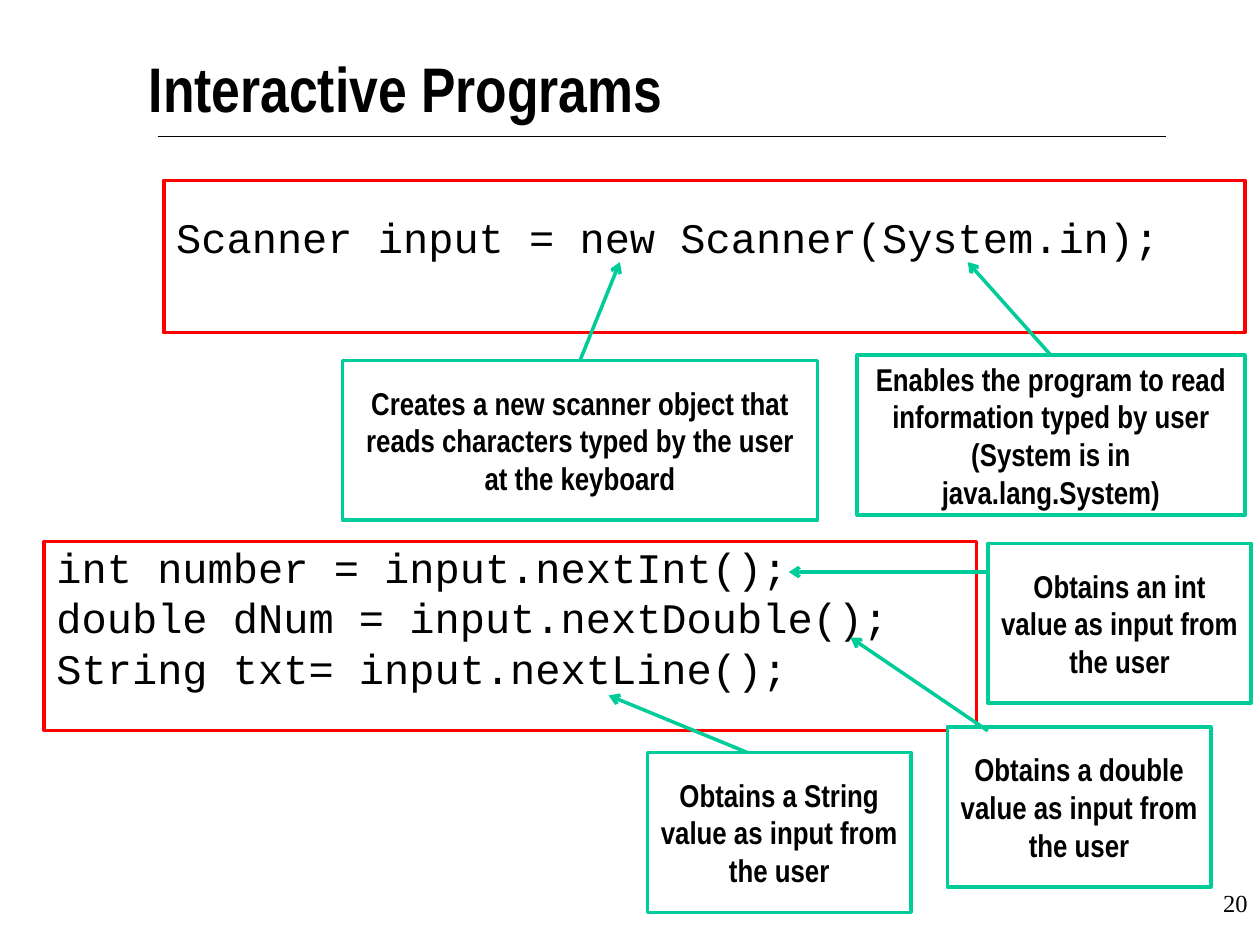
from lxml.etree import SubElement
from pptx import Presentation
from pptx.dml.color import RGBColor
from pptx.enum.shapes import MSO_CONNECTOR, MSO_SHAPE
from pptx.enum.text import MSO_ANCHOR, PP_ALIGN
from pptx.oxml.ns import qn
from pptx.util import Pt

COLORS = {"text": "000000", "fill": "FFFFFF", "code": "FF0000", "note": "00CC99"}
TOP = 0


def color(name):
    return RGBColor.from_string(COLORS[name])


class SlideBuilder:
    narrow, mono, serif = "Arial Narrow", "Courier New", "Times New Roman"
    border = 2

    def __init__(self, slide):
        self.slide = slide

    def set_text(self, sp, text, font, size, bold=False, align=PP_ALIGN.LEFT,
                 anchor=MSO_ANCHOR.MIDDLE, spacing=None):
        tf = sp.text_frame
        tf.word_wrap = True
        tf.vertical_anchor = anchor
        tf.text = text
        for p in tf.paragraphs:
            p.alignment = align
            if spacing:
                p.line_spacing = Pt(spacing)
            for r in p.runs:
                r.font.name, r.font.size, r.font.bold = font, Pt(size), bold
                r.font.color.rgb = color("text")

    def label(self, box, text, font, size, inset=None, **style):
        sp = self.slide.shapes.add_textbox(*map(Pt, box))
        if inset is not None:
            tf = sp.text_frame
            tf.margin_left = tf.margin_right = Pt(inset)
            tf.margin_top = tf.margin_bottom = Pt(inset)
        self.set_text(sp, text, font, size, **style)

    def frame(self, box, line):
        sp = self.slide.shapes.add_shape(MSO_SHAPE.RECTANGLE, *map(Pt, box))
        sp.shadow.inherit = False
        sp.fill.solid()
        sp.fill.fore_color.rgb = color("fill")
        sp.line.color.rgb = color(line)
        sp.line.width = Pt(self.border)
        return sp

    def code(self, box, text, top_inset):
        sp = self.frame(box, "code")
        sp.text_frame.margin_top = Pt(top_inset)
        self.set_text(sp, text, self.mono, 24, anchor=MSO_ANCHOR.TOP, spacing=28.8)

    def note(self, box, text):
        sp = self.frame(box, "note")
        self.set_text(sp, text, self.narrow, 18, bold=True, align=PP_ALIGN.CENTER)
        return sp

    def line(self, start, end, name="text", width=0.75):
        cxn = self.slide.shapes.add_connector(
            MSO_CONNECTOR.STRAIGHT, *map(Pt, (*start, *end)))
        cxn.line.color.rgb = color(name)
        cxn.line.width = Pt(width)
        SubElement(cxn._element.spPr, qn("a:effectLst"))
        return cxn

    def arrow(self, start, end, source=None):
        """Point from start to end, joined to the top of source if given."""
        cxn = self.line(start, end, "note", self.border)
        ln = cxn._element.spPr.find(qn("a:ln"))
        SubElement(ln, qn("a:tailEnd"), type="arrow")
        if source is not None:
            cxn.begin_connect(source, TOP)


def main():
    prs = Presentation()
    prs.slide_width, prs.slide_height = Pt(720), Pt(540)
    s = SlideBuilder(prs.slides.add_slide(prs.slide_layouts[6]))

    s.line((90, 78), (666, 78))
    s.label((85, 28, 551, 54), "Interactive Programs", s.narrow, 36,
            inset=0, bold=True, anchor=MSO_ANCHOR.TOP)
    s.label((570, 504, 150, 36), "20", s.serif, 14,
            align=PP_ALIGN.RIGHT, anchor=MSO_ANCHOR.TOP)

    s.code((93.6, 103, 617.8, 87.1), "Scanner input = new Scanner(System.in);", 18)
    creates = s.note((195.8, 205.9, 271.4, 91.4),
                     "Creates a new scanner object that reads characters "
                     "typed by the user at the keyboard")
    enables = s.note((489.6, 203, 221.8, 91.4),
                     "Enables the program to read information typed by user\n"
                     "(System is in java.lang.System)")
    s.arrow((331.5, 205.9), (354.2, 149.8), creates)
    s.arrow((600.5, 203), (553, 149.8), enables)

    s.code((25.2, 309.4, 532.8, 108),
           "int number = input.nextInt();\n"
           "double dNum = input.nextDouble();\n"
           "String txt= input.nextLine();", 0)
    for kind, left, top, start, end in (
        ("an int", 564.5, 310.5, (564.5, 326.9), (450.7, 326.9)),
        ("a double", 541.4, 415.6, (564.5, 417.6), (486, 364.3)),
        ("a String", 370, 430, (427, 430), (347.8, 397.4)),
    ):
        s.note((left, top, 150.5, 91.4), f"Obtains {kind} value as input from the user")
        s.arrow(start, end)

    prs.save("out.pptx")


if __name__ == "__main__":
    main()
